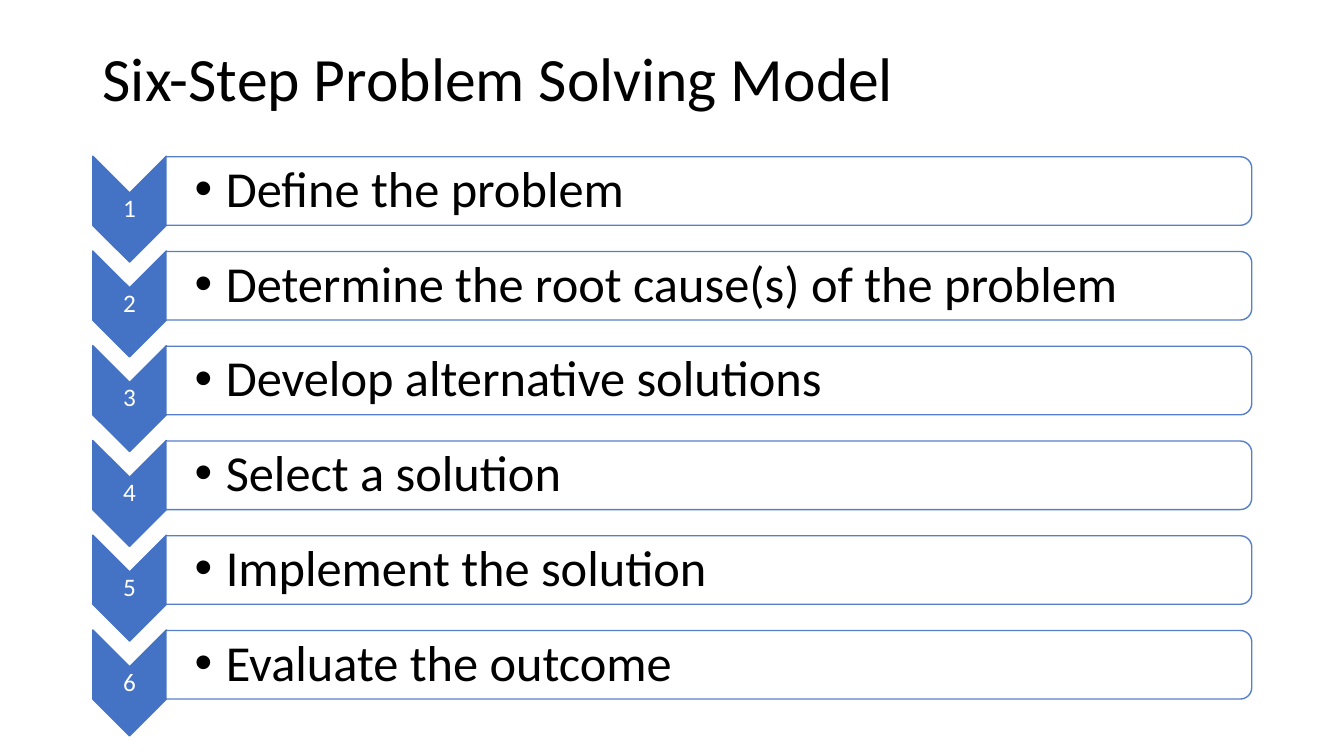
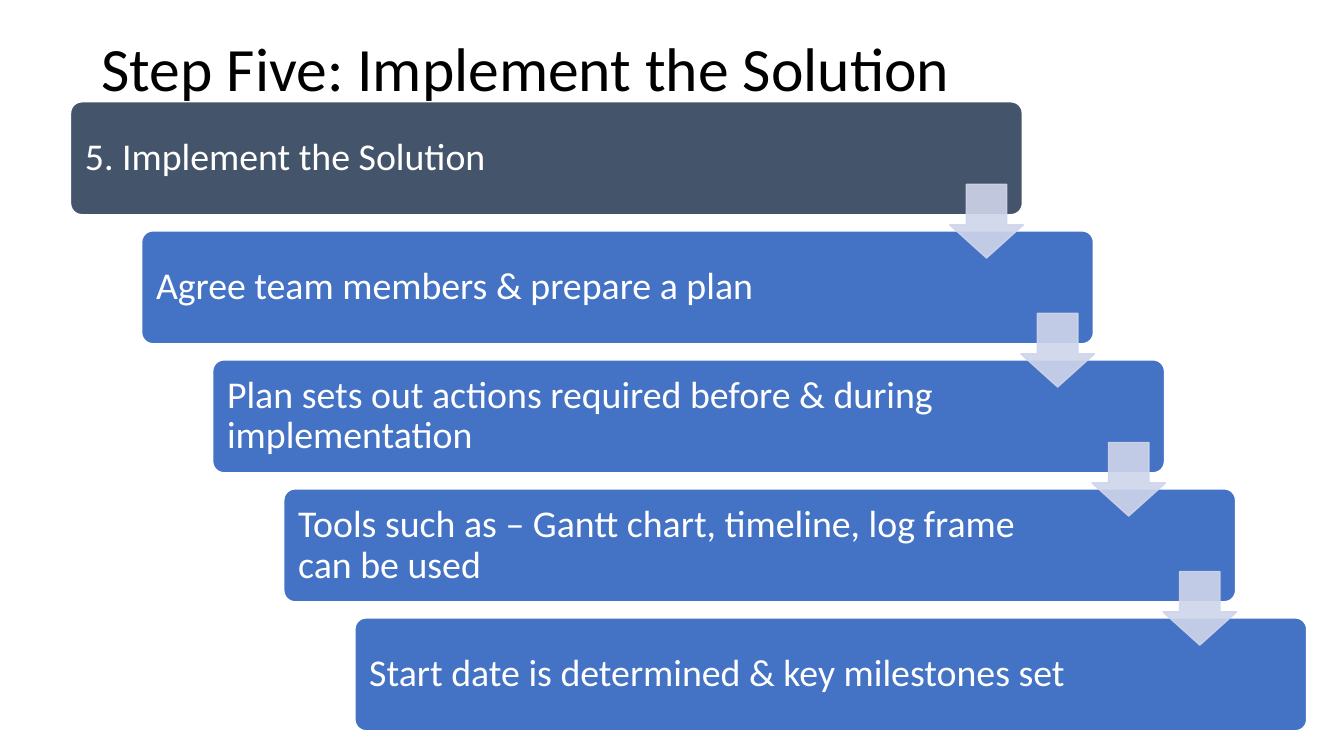
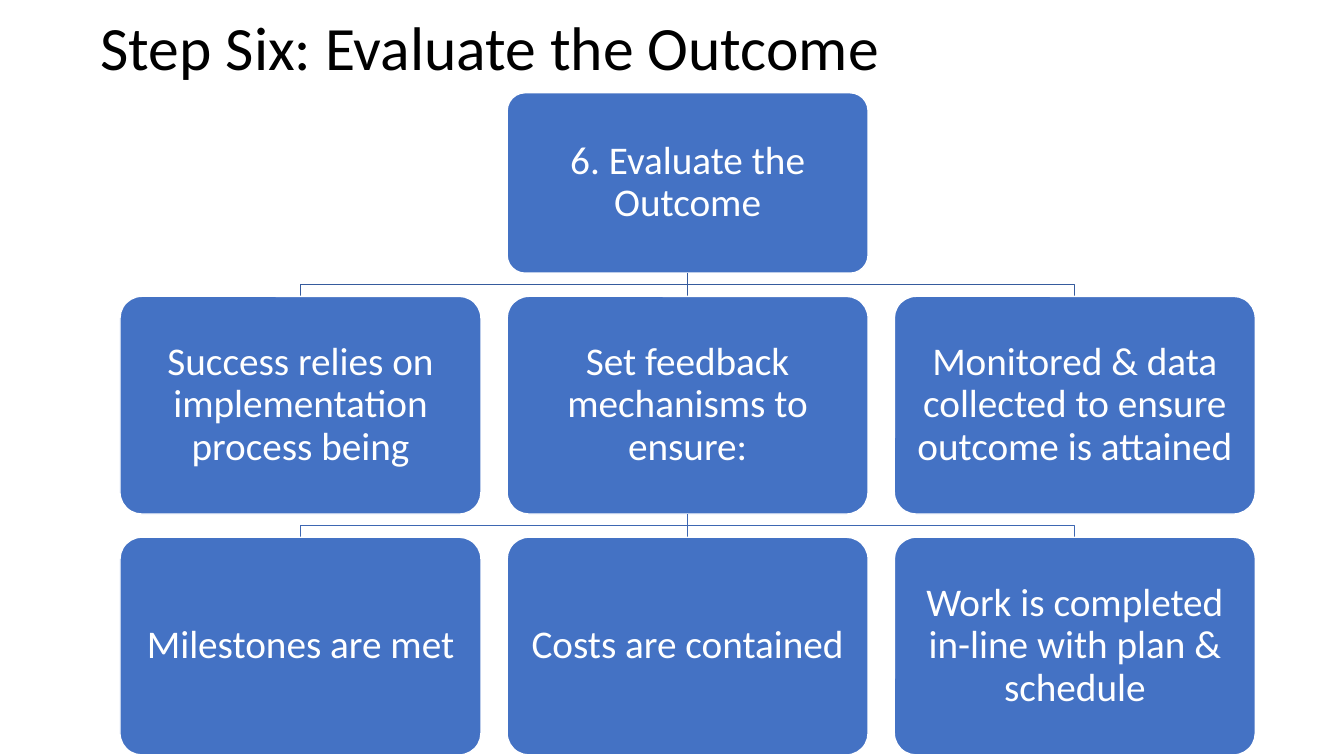
"""Builds three slides on a six-step problem solving model."""
from dataclasses import dataclass

from lxml import etree
from pptx import Presentation
from pptx.dml.color import RGBColor
from pptx.enum.shapes import MSO_CONNECTOR, MSO_SHAPE
from pptx.enum.text import MSO_ANCHOR, PP_ALIGN
from pptx.oxml.ns import qn
from pptx.util import Inches, Pt

CHEVRON = MSO_SHAPE.CHEVRON
TAB = MSO_SHAPE.ROUND_2_SAME_RECTANGLE
ROUNDED = MSO_SHAPE.ROUNDED_RECTANGLE
DOWN_ARROW = MSO_SHAPE.DOWN_ARROW
STRAIGHT = MSO_CONNECTOR.STRAIGHT
MIDDLE = MSO_ANCHOR.MIDDLE
LEFT, CENTER = PP_ALIGN.LEFT, PP_ALIGN.CENTER


@dataclass(frozen=True)
class Theme:
    """Colours, font and type sizes shared by the slides."""
    font: str = "Calibri"
    black: str = "000000"
    white: str = "FFFFFF"
    blue: str = "4472C4"
    slate: str = "44546A"
    pale: str = "CFD5EA"
    upper_line: str = "365B9D"
    lower_line: str = "3E67B2"
    title: int = 44
    step: int = 36
    node: int = 28
    stair: int = 27
    number: int = 18


T = Theme()


def rgb(value):
    """Turns a hex string into a colour."""
    return RGBColor.from_string(value)


def write(shape, text, size, color=T.white, align=LEFT, insets=(0.1, 0.05, 0.1, 0.05), bullet=0):
    """Writes one paragraph; insets run left, top, right, bottom in inches."""
    tf = shape.text_frame
    tf.word_wrap = True
    tf.vertical_anchor = MIDDLE
    tf.margin_left, tf.margin_top, tf.margin_right, tf.margin_bottom = map(Inches, insets)
    p = tf.paragraphs[0]
    p.alignment = align
    p.line_spacing = 0.9
    if bullet:
        pPr = p._p.get_or_add_pPr()
        pPr.set("marL", str(Inches(bullet)))
        pPr.set("indent", str(-Inches(bullet)))
        etree.SubElement(pPr, qn("a:buFont"), typeface="Arial")
        etree.SubElement(pPr, qn("a:buChar"), char="•")
    r = p.add_run()
    r.text = text
    r.font.name = T.font
    r.font.size = Pt(size)
    r.font.color.rgb = rgb(color)


def add_text(s, box, text, size, **fmt):
    """Adds a text box."""
    write(s.shapes.add_textbox(*map(Inches, box)), text, size, **fmt)


def add_shape(s, kind, box, fill, line, adj=(), rotation=0, opacity=100):
    """Adds a filled preset shape; opacity in percent applies to fill and line."""
    sp = s.shapes.add_shape(kind, *map(Inches, box))
    sp.shadow.inherit = False
    sp.rotation = rotation
    for i, value in enumerate(adj):
        sp.adjustments[i] = value
    sp.fill.solid()
    sp.fill.fore_color.rgb = rgb(fill)
    sp.line.color.rgb = rgb(line)
    sp.line.width = Pt(1)
    if opacity < 100:
        for clr in sp._element.spPr.iter(qn("a:srgbClr")):
            etree.SubElement(clr, qn("a:alpha"), val=str(opacity * 1000))
    return sp


def add_box(s, box, text, size, fill=T.blue, **fmt):
    """Adds a rounded box that holds text."""
    write(add_shape(s, ROUNDED, box, fill, T.white, adj=[0.1]), text, size, **fmt)


def add_branch(s, start, end, color):
    """Links two points with a stem, or with an elbow when they are offset."""
    (x1, y1), (x2, y2) = [tuple(map(Inches, point)) for point in (start, end)]
    if x1 == x2:
        branch = s.shapes.add_connector(STRAIGHT, x1, y1, x2, y2)
        etree.SubElement(branch._element.spPr, qn("a:effectLst"))
    else:
        middle = (y1 + y2) // 2
        fb = s.shapes.build_freeform(x1, y1)
        fb.add_line_segments([(x1, middle), (x2, middle), (x2, y2)], close=False)
        branch = fb.convert_to_shape()
        branch.shadow.inherit = False
        branch.fill.background()
    branch.line.color.rgb = rgb(color)
    branch.line.width = Pt(1)


def add_slide(prs, title, box):
    """Adds a blank slide with its title."""
    s = prs.slides.add_slide(prs.slide_layouts[6])
    add_text(s, box, title, T.title, color=T.black)
    return s


def model_slide(prs):
    """Lists the six steps beside numbered chevrons."""
    s = add_slide(prs, "Six-Step Problem Solving Model", (0.92, 0.4, 11.5, 0.81))
    steps = ["Define the problem", "Determine the root cause(s) of the problem",
             "Develop alternative solutions", "Select a solution",
             "Implement the solution", "Evaluate the outcome"]
    for i, step in enumerate(steps):
        y = 0.94 * i
        add_shape(s, CHEVRON, (0.76, 1.71 + y, 1.05, 0.73), T.blue, T.blue, rotation=90)
        add_text(s, (0.92, 1.92 + y, 0.73, 0.31), str(i + 1), T.number,
                 align=CENTER, insets=[0.01] * 4)
        add_shape(s, TAB, (6.69, y - 3.49, 0.68, 10.77), T.white, T.blue,
                  rotation=90, opacity=90)
        add_text(s, (1.65, 1.59 + y, 10.74, 0.61), step, T.step, color=T.black,
                 insets=(0.28, 0.03, 0.03, 0.03), bullet=0.31)


def implement_slide(prs):
    """Shows implementation as a descending staircase."""
    s = add_slide(prs, "Step Five: Implement the Solution", (0.91, 0.2, 11.84, 1.01))
    stairs = ["5. Implement the Solution", "Agree team members & prepare a plan",
              "Plan sets out actions required before & during implementation",
              "Tools such as – Gantt chart, timeline, log frame can be used",
              "Start date is determined & key milestones set"]
    corners = [(0.7 + 2.82 * i / 4, 1.01 + 1.28 * i) for i in range(len(stairs))]
    for i, ((x, y), stair) in enumerate(zip(corners, stairs)):
        add_box(s, (x, y, 9.44, 1.12), stair, T.stair, fill=T.blue if i else T.slate,
                insets=(0.11, 0.11, 1.54, 0.11))
    for x, y in corners[:-1]:
        add_shape(s, DOWN_ARROW, (x + 8.72, y + 0.82, 0.73, 0.73), T.pale, T.pale,
                  adj=(0.55, 0.45), opacity=90)


def evaluate_slide(prs):
    """Shows evaluation as a three-level tree."""
    s = add_slide(prs, "Step Six: Evaluate the Outcome", (0.9, 0, 11.84, 1.01))
    width, pitch, left = 3.58, 3.84, 1.19
    middle = left + pitch + width / 2
    node = {"size": T.node, "align": CENTER, "insets": [0.12] * 4}
    add_box(s, (left + pitch, 0.92, width, 1.79), "6. Evaluate the Outcome", **node)
    levels = [
        (2.71, 2.94, T.upper_line, ["Success relies on implementation process being",
                                    "Set feedback mechanisms to ensure:",
                                    "Monitored & data collected to ensure outcome is attained"]),
        (5.1, 5.33, T.lower_line, ["Milestones are met", "Costs are contained",
                                   "Work is completed in-line with plan & schedule"]),
    ]
    for parent_bottom, top, color, texts in levels:
        for i, text in enumerate(texts):
            add_branch(s, (middle, parent_bottom), (middle + (i - 1) * pitch, top), color)
            add_box(s, (left + i * pitch, top, width, 2.16), text, **node)


def main():
    """Builds and saves the presentation."""
    prs = Presentation()
    prs.slide_width, prs.slide_height = Inches(13.33), Inches(7.5)
    model_slide(prs)
    implement_slide(prs)
    evaluate_slide(prs)
    prs.save("out.pptx")


main()
